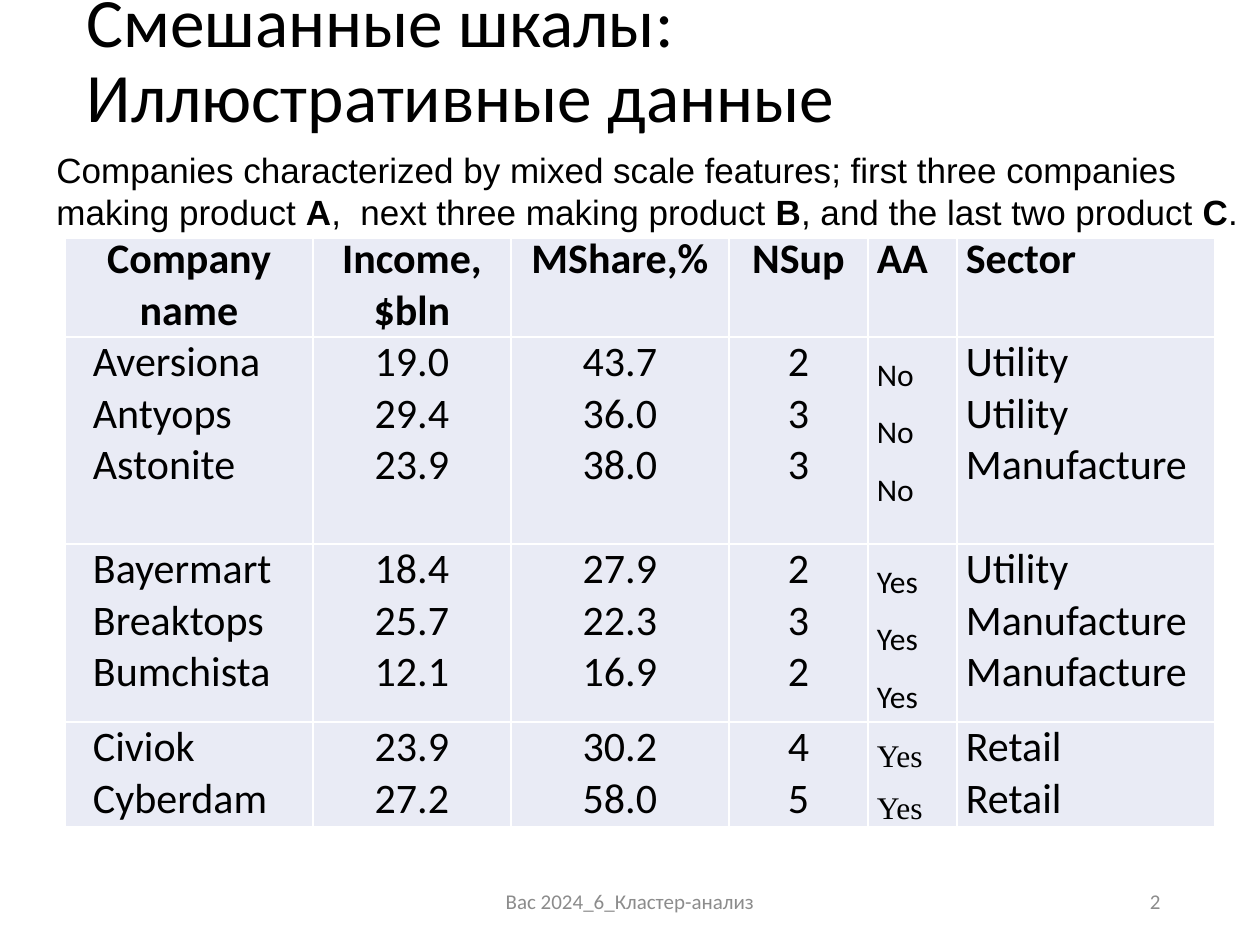
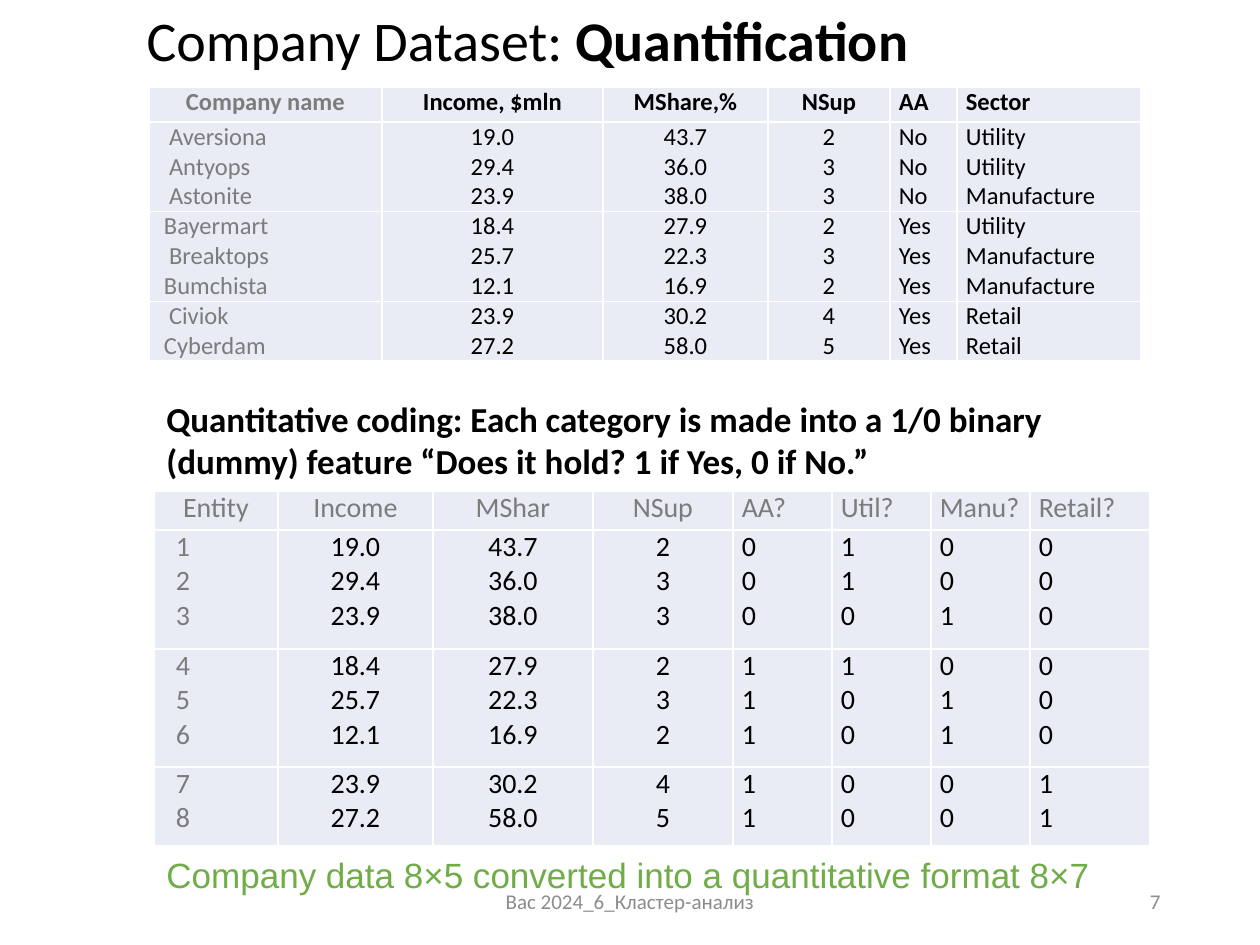
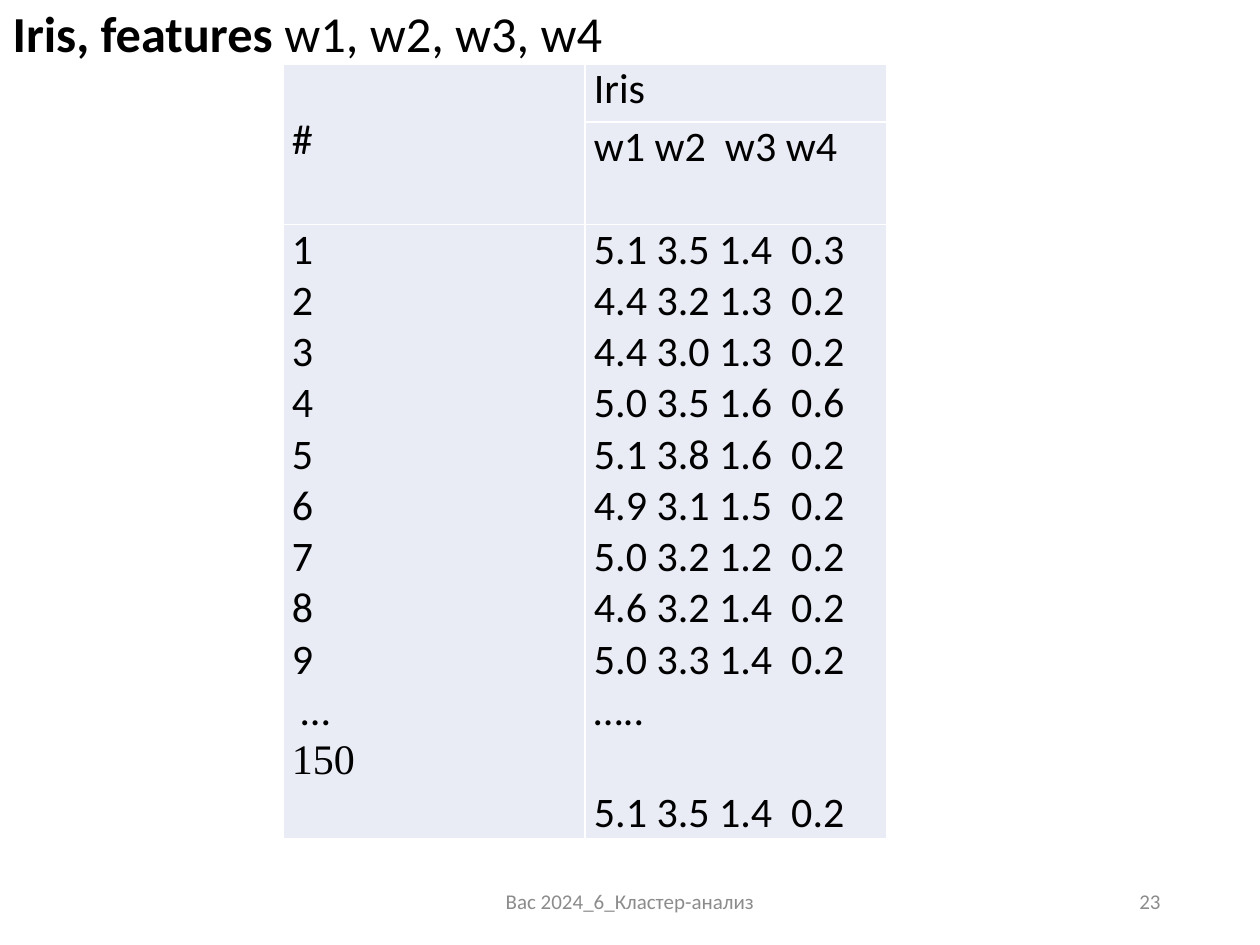
from lxml import etree
from pptx import Presentation
from pptx import util as u
from pptx.dml.color import RGBColor
from pptx.enum import shapes, text
from pptx.oxml.ns import qn

# Shared look
PX = u.Inches(1) / 126
BLACK, GREY, FOOTER_GREY = "000000", "7C7C7C", "8C8C8C"
WHITE, CELL_FILL, GREEN = "FFFFFF", "E9EBF5", "70AD47"
LEFT, CENTER = text.PP_ALIGN.LEFT, text.PP_ALIGN.CENTER
RIGHT, JUSTIFY = text.PP_ALIGN.RIGHT, text.PP_ALIGN.JUSTIFY
TOP, MIDDLE, BOTTOM = (text.MSO_ANCHOR.TOP, text.MSO_ANCHOR.MIDDLE,
                       text.MSO_ANCHOR.BOTTOM)
FOOTER = "Bac 2024_6_Кластер-анализ"

# Company data: name, income, market share, suppliers, AA, sector
COMPANIES = [
    ("Aversiona", "19.0", "43.7", "2", "No", "Utility"),
    ("Antyops", "29.4", "36.0", "3", "No", "Utility"),
    ("Astonite", "23.9", "38.0", "3", "No", "Manufacture"),
    ("Bayermart", "18.4", "27.9", "2", "Yes", "Utility"),
    ("Breaktops", "25.7", "22.3", "3", "Yes", "Manufacture"),
    ("Bumchista", "12.1", "16.9", "2", "Yes", "Manufacture"),
    ("Civiok", "23.9", "30.2", "4", "Yes", "Retail"),
    ("Cyberdam", "27.2", "58.0", "5", "Yes", "Retail"),
]
PRODUCTS = [slice(0, 3), slice(3, 6), slice(6, 8)]
SECTORS = ["Utility", "Manufacture", "Retail"]
IRIS = ["5.1 3.5 1.4  0.3", "4.4 3.2 1.3  0.2", "4.4 3.0 1.3  0.2",
        "5.0 3.5 1.6  0.6", "5.1 3.8 1.6  0.2", "4.9 3.1 1.5  0.2",
        "5.0 3.2 1.2  0.2", "4.6 3.2 1.4  0.2", "5.0 3.3 1.4  0.2"]


def px(length):
    return u.Emu(round(length * PX))


def rgb(color):
    return RGBColor.from_string(color)


def set_values(target, values):
    for name, value in values.items():
        setattr(target, name, value)


def style(size, color=BLACK, name="Calibri", bold=False):
    return {"size": u.Pt(size), "color": color, "name": name, "bold": bold}


def write_paragraph(paragraph, runs, font, layout):
    """Runs are a string or a list of (text, font changes)."""
    if isinstance(runs, str):
        runs = [(runs, {})]
    set_values(paragraph, layout)
    for words, changes in runs:
        for number, line in enumerate(words.split("\n")):
            if number:
                paragraph.add_line_break()
            run = paragraph.add_run()
            run.text = line
            values = {**font, **changes}
            run.font.color.rgb = rgb(values.pop("color"))
            set_values(run.font, values)


def write_frame(shape, runs, font, anchor=MIDDLE, **layout):
    frame = shape.text_frame
    set_values(frame, {"word_wrap": True, "vertical_anchor": anchor,
                       "auto_size": text.MSO_AUTO_SIZE.NONE})
    write_paragraph(frame.paragraphs[0], runs, font,
                    {"alignment": LEFT, **layout})
    return frame


def add_text(slide, box, runs, font, anchor=MIDDLE, **layout):
    shape = slide.shapes.add_textbox(*map(px, box))
    write_frame(shape, runs, font, anchor, **layout)


def add_band(slide, box, runs, font):
    shape = slide.shapes.add_shape(shapes.MSO_SHAPE.RECTANGLE, *map(px, box))
    shape.shadow.inherit = False
    shape.fill.solid()
    shape.fill.fore_color.rgb = rgb(WHITE)
    shape.line.fill.background()
    write_frame(shape, runs, font)


def add_slide(presentation, number, title_box, title, size, anchor=MIDDLE):
    """Start a slide with its title, footer and number."""
    slide = presentation.slides.add_slide(presentation.slide_layouts[5])
    shape = slide.shapes.title
    set_values(shape, dict(zip(("left", "top", "width", "height"),
                               map(px, title_box))))
    frame = write_frame(shape, title, style(size), anchor, line_spacing=0.9)
    if anchor == BOTTOM:
        frame.margin_bottom = 0
    footer_font = style(12, FOOTER_GREY)
    add_text(slide, (417, 876, 426, 50), FOOTER, footer_font, alignment=CENTER)
    add_text(slide, (890, 876, 283, 50), number, footer_font, alignment=RIGHT)
    return slide


def add_borders(cell):
    properties = cell._tc.get_or_add_tcPr()
    for number, side in enumerate(("a:lnL", "a:lnR", "a:lnT", "a:lnB")):
        line = etree.Element(qn(side), w=str(u.Pt(1)))
        fill = etree.SubElement(line, qn("a:solidFill"))
        etree.SubElement(fill, qn("a:srgbClr"), val=WHITE)
        properties.insert(number, line)


def make_cell(lines, font, indents=(), **layout):
    return {"lines": lines, "font": font, "indents": indents, "layout": layout}


def write_cell(cell, content):
    frame = cell.text_frame
    for number, line in enumerate(content["lines"]):
        paragraph = frame.add_paragraph() if number else frame.paragraphs[0]
        write_paragraph(paragraph, line, content["font"], content["layout"])
        if content["indents"]:
            indent = px(content["indents"][number])
            paragraph._p.get_or_add_pPr().set("marL", str(indent))


def add_grid(slide, corner, widths, heights, rows):
    """Draw a table; a content of None leaves the cell empty."""
    frame = slide.shapes.add_table(
        len(heights), len(widths), *map(px, corner),
        px(sum(widths)), px(sum(heights)))
    table = frame.table
    set_values(table, {"first_row": False, "horz_banding": False})
    for column, width in zip(table.columns, widths):
        column.width = px(width)
    for row, height, contents in zip(table.rows, heights, rows):
        row.height = px(height)
        for cell, content in zip(row.cells, contents):
            set_values(cell, {"margin_left": px(9), "margin_right": px(9),
                              "margin_top": 0, "margin_bottom": 0})
            cell.fill.solid()
            cell.fill.fore_color.rgb = rgb(CELL_FILL)
            add_borders(cell)
            if content:
                write_cell(cell, content)
    return table


def data_rows(headings, records, fonts, head_fonts, indents, special=None):
    """One heading row, then one row of stacked lines per product.

    The first column is indented, the next three are centred.
    special(column, product) gives (font changes, layout changes).
    """
    rows = [[make_cell([heading], font,
                       alignment=CENTER if column < 4 else LEFT)
             for column, (heading, font)
             in enumerate(zip(headings, head_fonts))]]
    alignments = [JUSTIFY] + [CENTER] * 3 + [LEFT] * (len(headings) - 4)
    for product, members in enumerate(PRODUCTS):
        row = []
        for column, lines in enumerate(zip(*records[members])):
            changes, layout = special(column, product) if special else ({}, {})
            row.append(make_cell(
                lines, {**fonts[column], **changes},
                () if column else indents[members],
                alignment=alignments[column], **layout))
        rows.append(row)
    return rows


def quantify(number, company):
    """Turn the categories of a company into 1/0 features."""
    name, income, share, suppliers, answer, sector = company
    flags = [answer == "Yes"] + [sector == item for item in SECTORS]
    return [str(number), income, share, suppliers,
            *(str(int(flag)) for flag in flags)]


def mixed_scales_slide(presentation):
    slide = add_slide(presentation, "2", (74, 0, 1157, 125),
                      "Смешанные шкалы:\nИллюстративные данные", 39.6)

    def answers(column, product):
        if column != 4:
            return {}, {}
        name = "Times New Roman" if product == 2 else "Calibri"
        return {"size": u.Pt(18), "name": name}, {"line_spacing": 1.5}

    headings = ["Company name", "Income, $bln", "MShare,%", "NSup", "AA",
                "Sector"]
    rows = data_rows(headings, COMPANIES, [style(24)] * 6,
                     [style(24, bold=True)] * 6, [19] * 8, answers)
    add_grid(slide, (65, 234), [248, 198, 218, 139, 89, 258],
             [103, 207, 178, 104], rows)
    bold = {"bold": True}
    add_band(slide, (44, 142, 1216, 97), [
        ("Companies characterized by mixed scale features; "
         "first three companies making product ", {}),
        ("A", bold), (",  next three making product ", {}),
        ("B", bold), (", and the last two product ", {}),
        ("C", bold), (".", {})], style(20, name="Arial"))


def quantification_slide(presentation):
    slide = add_slide(presentation, "7", (134, 0, 1097, 86),
                      [("Company Dataset: ", {}),
                       ("Quantification", {"bold": True})], 32)

    # Categories as given
    headings = ["Company name", "Income, $mln", "MShare,%", "NSup", "AA",
                "Sector"]
    rows = data_rows(
        headings, COMPANIES, [style(14, GREY)] + [style(14)] * 5,
        [style(14, GREY, bold=True)] + [style(14, bold=True)] * 5,
        [11, 11, 11, 6, 11, 6, 11, 6])
    add_grid(slide, (149, 87), [233, 221, 165, 122, 67, 184],
             [35, 89, 90, 59], rows)
    add_text(slide, (154, 391, 953, 97),
             "Quantitative coding: Each category is made into a 1/0 binary "
             "(dummy) feature “Does it hold? 1 if Yes, 0 if No.”",
             style(20, bold=True), TOP)

    # Categories as 1/0 features
    headings = ["Entity", "Income", "MShar", "NSup", "AA?", "Util?", "Manu?",
                "Retail?"]
    records = [quantify(*item) for item in enumerate(COMPANIES, 1)]
    rows = data_rows(headings, records, [style(16, GREY)] + [style(16)] * 7,
                     [style(16, GREY)] * 8, [13] * 8)
    add_grid(slide, (154, 491), [124, 155, 160, 140, 99, 99, 99, 120],
             [39, 119, 118, 79], rows)
    add_text(slide, (154, 847, 1071, 55),
             "Company data 8×5 converted into a quantitative format 8×7",
             style(20, GREEN, "Arial"))


def iris_slide(presentation):
    slide = add_slide(presentation, "23", (0, -49, 1206, 112),
                      [("Iris, features", {"bold": True}),
                       (" w1, w2, w3, w4", {})], 28.8, BOTTOM)
    font = style(24)
    numbers = [str(number) for number in range(1, len(IRIS) + 1)]
    numbers += ["…", [("150", {"name": "Times New Roman"})]]
    rows = [
        [make_cell(["#"], font), make_cell(["Iris"], font)],
        [None, make_cell(["w1 w2  w3 w4"], font)],
        [make_cell(numbers, font, [0] * len(IRIS) + [9, 0]),
         make_cell(IRIS + ["…..", "5.1 3.5 1.4  0.2"], font)],
    ]
    table = add_grid(slide, (283, 64), [302, 302], [58, 102, 615], rows)
    table.cell(0, 0).merge(table.cell(1, 0))
    table.cell(0, 0).margin_top = px(51)
    last_line = table.cell(2, 1).text_frame.paragraphs[-1]
    last_line.space_before = u.Pt(29)


def main():
    presentation = Presentation()
    presentation.slide_width = px(1260)
    presentation.slide_height = px(945)
    mixed_scales_slide(presentation)
    quantification_slide(presentation)
    iris_slide(presentation)
    presentation.save("out.pptx")


if __name__ == "__main__":
    main()
